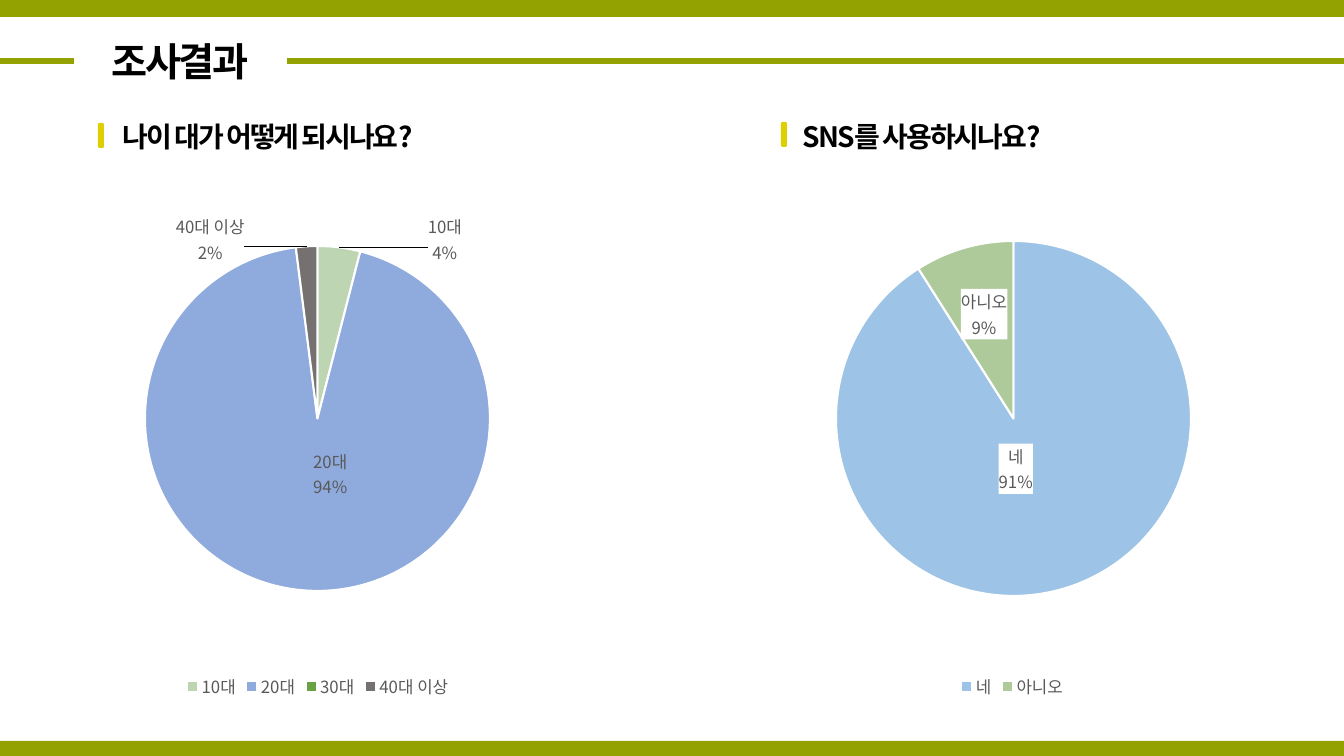
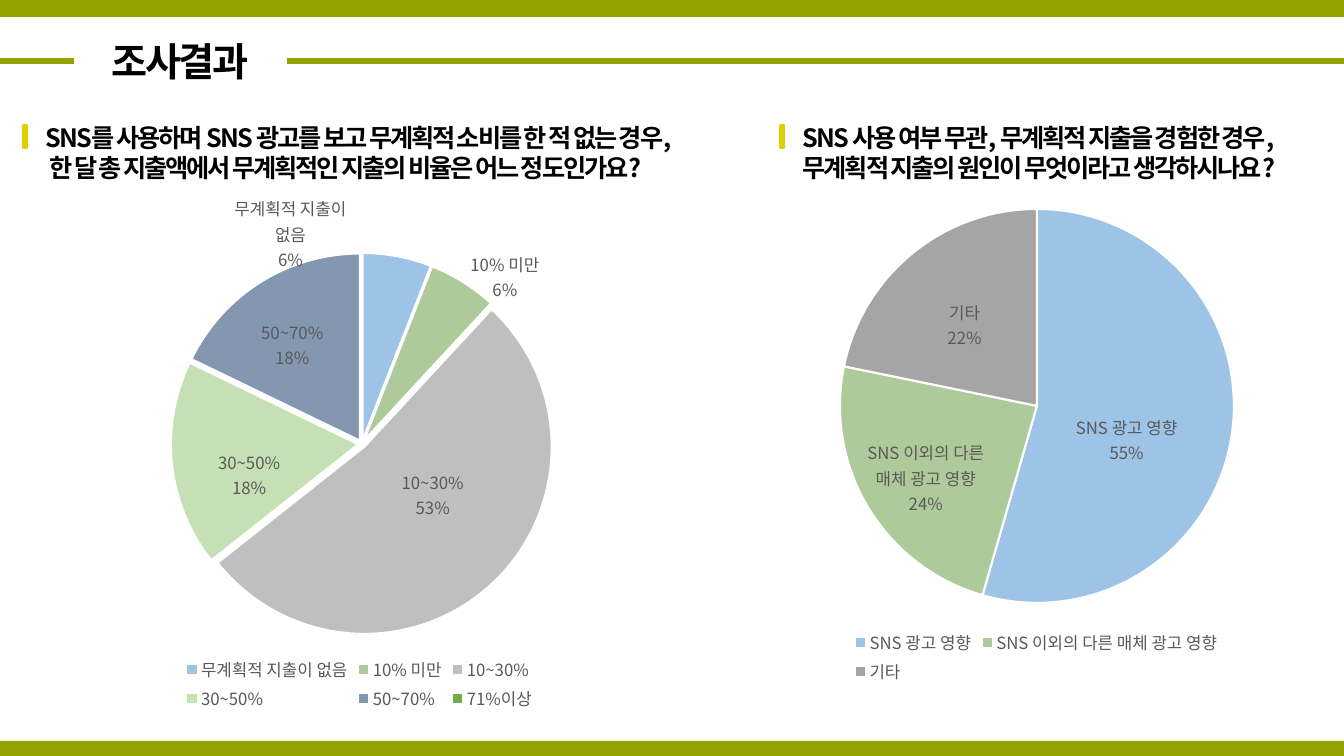
import copy
from dataclasses import dataclass

import pptx
import pptx.chart.data
import pptx.dml.color
import pptx.enum.chart
import pptx.enum.shapes
import pptx.enum.text
import pptx.oxml
import pptx.oxml.ns
import pptx.util
from lxml import etree

qn = pptx.oxml.ns.qn
WIDTH, HEIGHT = 1344, 756
EMU_PER_PX = 12192000 / WIDTH


@dataclass(frozen=True)
class Theme:
    font: str = "Noto Sans CJK KR"
    band: str = "93A201"
    marker: str = "DFCF00"
    ink: str = "000000"
    chart_text: str = "595959"
    white: str = "FFFFFF"
    title_size: int = 28
    chart_size: int = 12
    tracking: int = -150


theme = Theme()


def px(*lengths):
    return [pptx.util.Emu(round(length * EMU_PER_PX)) for length in lengths]


def style_font(font, size, color, heading=False):
    """Set size, colour and typeface (Latin and East Asian); headings are bold and tight."""
    font.size = pptx.util.Pt(size)
    font.color.rgb = pptx.dml.color.RGBColor.from_string(color)
    font.name = theme.font
    properties = font._element
    east_asian = etree.Element(qn("a:ea"), typeface=theme.font)
    properties.find(qn("a:latin")).addnext(east_asian)
    if heading:
        font.bold = True
        properties.set("spc", str(theme.tracking))


# Each survey: chart box, pie box, answers as (name, value, colour, label shift).
slides = [
    [
        dict(
            question=["나이 대가 어떻게 되시나요?"], size=20,
            text_box=(113, 114, 340, 44), marker=(98, 123),
            chart_box=(-55, 105, 746, 598), pie_box=(145, 246, 345, 345),
            answers=[
                ("10대", 4, "BED5B4", (88, 23)),
                ("20대", 94, "8FAADC", (24, -148)),
                ("30대", 0, "69A242", None),
                ("40대 이상", 2, "767171", (-96, 24)),
            ],
        ),
        dict(
            question=["SNS를 사용하시나요?"], size=20,
            text_box=(793, 114, 551, 44), marker=(781, 122),
            chart_box=(689, 105, 647, 598), pie_box=(836, 241, 355, 355),
            label_fill=theme.white,
            answers=[
                ("네", 91, "9DC3E6", (-66, -151)),
                ("아니오", 9, "AFCA9A", (45, 97)),
            ],
        ),
    ],
    [
        dict(
            question=[
                "SNS를 사용하며 SNS 광고를 보고 무계획적 소비를 한 적 없는 경우,",
                " 한 달 총 지출액에서 무계획적인 지출의 비율은 어느 정도인가요?",
            ],
            size=18, text_box=(36, 117, 698, 71), marker=(22, 124),
            chart_box=(36, 117, 647, 598), pie_box=(171, 253, 382, 382),
            explosion=2,
            answers=[
                ("무계획적 지출이 없음", 6, "9DC3E6", (-164, 21)),
                ("10% 미만", 6, "AFCA9A", (4, 25)),
                ("10~30%", 53, "BFBFBF", (-94, -119)),
                ("30~50%", 18, "C5E0B4", (114, -16)),
                ("50~70%", 18, "8497B0", (66, 93)),
                ("71%이상", 0, "70AD47", None),
            ],
        ),
        dict(
            question=[
                "SNS 사용 여부 무관, 무계획적 지출을 경험한 경우,",
                "무계획적 지출의 원인이 무엇이라고 생각하시나요?",
            ],
            size=18, text_box=(793, 117, 551, 71), marker=(779, 124),
            chart_box=(713, 90, 647, 598), pie_box=(840, 209, 394, 394),
            answers=[
                ("SNS 광고 영향", 55, "9DC3E6", (-162, -20)),
                ("SNS 이외의 다른 매체 광고 영향", 24, "AFCA9A", (121, -71)),
                ("기타", 22, "A5A5A5", (73, 101)),
            ],
        ),
    ],
]

deck = pptx.Presentation()
deck.slide_width, deck.slide_height = px(WIDTH, HEIGHT)

for surveys in slides:
    slide = deck.slides.add_slide(deck.slide_layouts[5])
    shapes = slide.shapes

    title = shapes.title
    title.left, title.top, title.width, title.height = px(82, 32, 196, 57)
    title.text_frame.text = "조사결과"
    title.text_frame.auto_size = pptx.enum.text.MSO_AUTO_SIZE.NONE
    title.text_frame.word_wrap = False
    title.text_frame.vertical_anchor = pptx.enum.text.MSO_ANCHOR.MIDDLE
    heading = title.text_frame.paragraphs[0]
    heading.alignment = pptx.enum.text.PP_ALIGN.CENTER
    style_font(heading.runs[0].font, theme.title_size, theme.ink, heading=True)

    for survey in surveys:
        answers = survey["answers"]
        left, top, width, height = survey["chart_box"]

        chart_data = pptx.chart.data.CategoryChartData()
        chart_data.categories = [name for name, *_ in answers]
        chart_data.add_series(" ", [value for _, value, *_ in answers])
        chart = shapes.add_chart(
            pptx.enum.chart.XL_CHART_TYPE.PIE, *px(left, top, width, height), chart_data
        ).chart
        chart.has_title = False
        chart.has_legend = True
        chart.legend.position = pptx.enum.chart.XL_LEGEND_POSITION.BOTTOM
        chart.legend.include_in_layout = False
        chart.plots[0].vary_by_categories = True
        pie = chart.plots[0].series[0]
        labels = pie.data_labels
        for font in (chart.font, chart.legend.font, labels.font):
            style_font(font, theme.chart_size, theme.chart_text)

        # Fixed pie area, as fractions of the chart
        pie_left, pie_top, pie_width, pie_height = survey["pie_box"]
        plot_area = chart.element.find(".//" + qn("c:plotArea"))
        for automatic in plot_area.findall(qn("c:layout")):
            plot_area.remove(automatic)
        layout = etree.Element(qn("c:layout"))
        manual = etree.SubElement(layout, qn("c:manualLayout"))
        for tag, setting in (
            ("layoutTarget", "inner"), ("xMode", "edge"), ("yMode", "edge"),
            ("x", (pie_left - left) / width), ("y", (pie_top - top) / height),
            ("w", pie_width / width), ("h", pie_height / height),
        ):
            etree.SubElement(manual, qn("c:" + tag), val=str(setting))
        plot_area.insert(0, layout)

        # The values are percentages already, so they carry their own sign
        labels.show_category_name = True
        labels.show_value = True
        labels.number_format = '0"%"'
        labels.number_format_is_linked = False
        labels.position = pptx.enum.chart.XL_LABEL_POSITION.OUTSIDE_END
        labels_xml = labels._element
        separator = etree.Element(qn("c:separator"))
        separator.text = "\n"
        labels_xml.find(qn("c:showBubbleSize")).addnext(separator)
        if "label_fill" in survey:
            backing = etree.Element(qn("c:spPr"))
            fill = etree.SubElement(backing, qn("a:solidFill"))
            etree.SubElement(fill, qn("a:srgbClr"), val=survey["label_fill"])
            labels_xml.find(qn("c:txPr")).addprevious(backing)
        shared_settings = [
            child for child in labels_xml if child.tag != qn("c:showLeaderLines")
        ]

        for index, (_, _, color, shift) in enumerate(answers):
            slice_format = pie.points[index].format
            slice_format.fill.solid()
            slice_format.fill.fore_color.rgb = pptx.dml.color.RGBColor.from_string(color)
            slice_format.line.color.rgb = pptx.dml.color.RGBColor.from_string(theme.white)
            slice_format.line.width = pptx.util.Pt(1.5)

            label = etree.Element(qn("c:dLbl"))
            etree.SubElement(label, qn("c:idx"), val=str(index))
            if shift is None:
                etree.SubElement(label, qn("c:delete"), val="1")
            else:
                layout = etree.SubElement(label, qn("c:layout"))
                manual = etree.SubElement(layout, qn("c:manualLayout"))
                etree.SubElement(manual, qn("c:x"), val=str(shift[0] / width))
                etree.SubElement(manual, qn("c:y"), val=str(shift[1] / height))
                label.extend(copy.deepcopy(shared_settings))
            labels_xml.insert(index, label)

        if "explosion" in survey:
            explosion = etree.Element(qn("c:explosion"), val=str(survey["explosion"]))
            chart.element.find(".//" + qn("c:dPt")).addprevious(explosion)

    bars = [
        ("RECTANGLE", (0, 0, WIDTH, 17), theme.band),
        ("RECTANGLE", (0, 741, WIDTH, 15), theme.band),
    ] + [
        ("ROUNDED_RECTANGLE", (*survey["marker"], 6, 25), theme.marker)
        for survey in surveys
    ]
    for outline, box, color in bars:
        bar = shapes.add_shape(
            pptx.enum.shapes.MSO_SHAPE[outline], *px(*box)
        )
        bar.shadow.inherit = False
        bar.fill.solid()
        bar.fill.fore_color.rgb = pptx.dml.color.RGBColor.from_string(color)
        bar.line.fill.background()
        if outline == "ROUNDED_RECTANGLE":
            bar.adjustments[0] = 0.28

    for start, end in ((0, 74), (287, WIDTH)):
        rule = shapes.add_connector(
            pptx.enum.shapes.MSO_CONNECTOR.STRAIGHT, *px(start, 61, end, 61)
        )
        rule.line.color.rgb = pptx.dml.color.RGBColor.from_string(theme.band)
        rule.line.width = pptx.util.Pt(4.5)
        etree.SubElement(rule._element.spPr, qn("a:effectLst"))

    for survey in surveys:
        question = shapes.add_textbox(*px(*survey["text_box"])).text_frame
        question.word_wrap = True
        question.vertical_anchor = pptx.enum.text.MSO_ANCHOR.MIDDLE
        question.text = "\n".join(survey["question"])
        for line in question.paragraphs:
            line.line_spacing = pptx.util.Pt(survey["size"] * 1.19)
            style_font(line.runs[0].font, survey["size"], theme.ink, heading=True)

deck.save("out.pptx")
